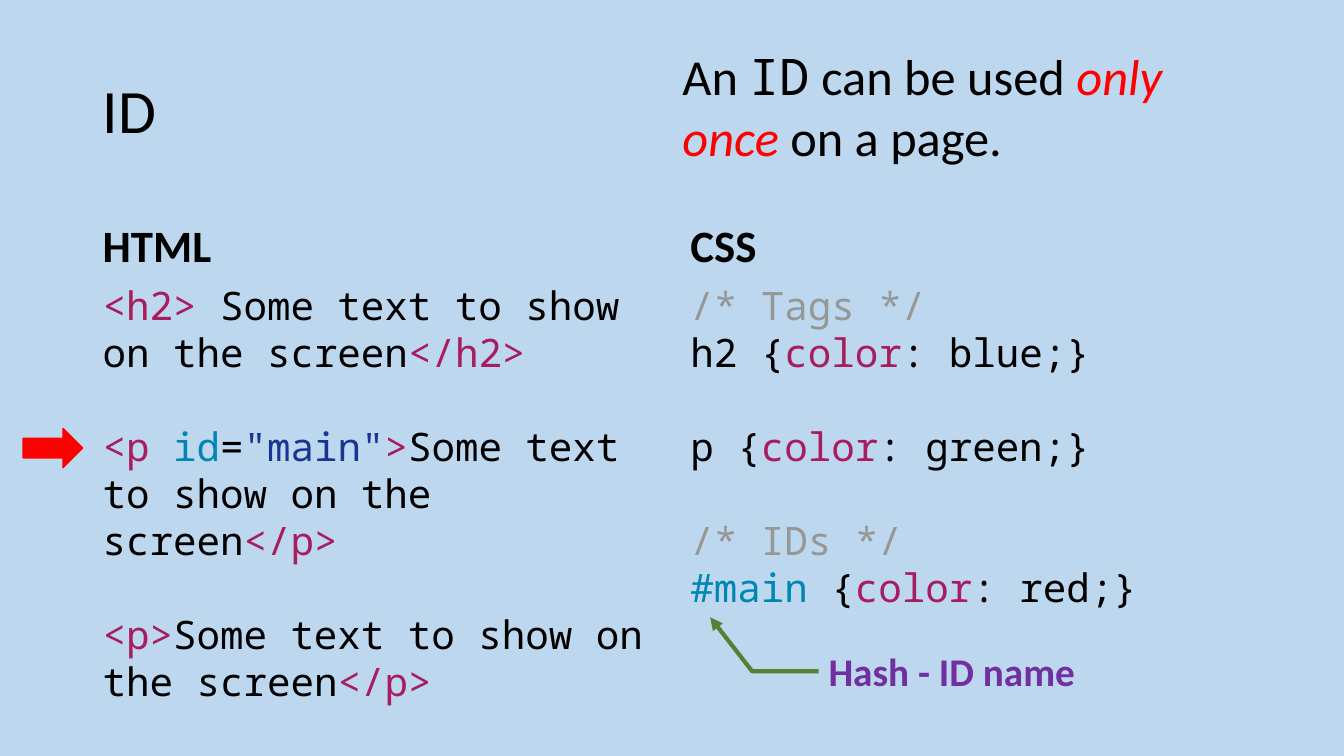
from dataclasses import dataclass
from typing import NamedTuple

from lxml import etree
from pptx import Presentation
from pptx.dml.color import RGBColor
from pptx.enum.shapes import MSO_SHAPE
from pptx.enum.text import MSO_ANCHOR, PP_ALIGN
from pptx.oxml.ns import qn
from pptx.util import Inches, Pt


@dataclass(frozen=True)
class Theme:
    background: str = "BDD7EE"
    ink: str = "000000"
    tag: str = "A71D5D"
    name: str = "0086B3"
    string: str = "183691"
    remark: str = "969896"
    alert: str = "FF0000"
    pointer: str = "548235"
    label: str = "7030A0"
    sans: str = "Calibri"
    mono: str = "Noto Sans Mono"
    title_size: float = 44
    note_size: float = 36
    heading_size: float = 32
    code_size: float = 28
    blank_line: float = 33.6


THEME = Theme()


class Span(NamedTuple):
    text: str
    color: str = THEME.ink
    font: str = THEME.sans
    bold: bool = False
    italic: bool = False


class Line(NamedTuple):
    spans: list[Span]
    gap: float = 0
    spacing: float = 1.0


class Area(NamedTuple):
    left: float
    top: float
    width: float
    height: float

    def lengths(self) -> list[int]:
        return [Inches(value) for value in self]


class Column(NamedTuple):
    left: float
    width: float
    heading: str
    code: list[Line]


def code(text: str, color: str = THEME.ink) -> Span:
    return Span(text, color, THEME.mono)


def tag(text: str) -> Span:
    return code(text, THEME.tag)


def rule(selector: Span, value: str, gap: float = 0) -> Line:
    return Line([selector, code(" {"), tag("color"), code(f": {value};}}")], gap)


def write(frame, lines: list[Line], size: float, anchor=MSO_ANCHOR.TOP) -> None:
    frame.word_wrap = True
    frame.vertical_anchor = anchor
    for index, line in enumerate(lines):
        para = frame.paragraphs[0] if index == 0 else frame.add_paragraph()
        para.alignment = PP_ALIGN.LEFT
        para.line_spacing = line.spacing
        para.space_before = Pt(line.gap)
        for span in line.spans:
            run = para.add_run()
            run.text = span.text
            font = run.font
            font.name, font.size = span.font, Pt(size)
            font.bold, font.italic = span.bold, span.italic
            font.color.rgb = RGBColor.from_string(span.color)


def add_text(page, area: Area, lines: list[Line], size: float,
             anchor=MSO_ANCHOR.TOP) -> None:
    box = page.shapes.add_textbox(*area.lengths())
    write(box.text_frame, lines, size, anchor)


def add_outlined(page, kind: MSO_SHAPE, area: Area, color: str, weight: float):
    shape = page.shapes.add_shape(kind, *area.lengths())
    shape.shadow.inherit = False
    shape.line.color.rgb = RGBColor.from_string(color)
    shape.line.width = Pt(weight)
    return shape


def add_callout(page, area: Area, bends: list[float], label: Span) -> None:
    callout = add_outlined(page, MSO_SHAPE.LINE_CALLOUT_2_NO_BORDER, area,
                           THEME.pointer, 3)
    callout.fill.background()
    for index, value in enumerate(bends):
        callout.adjustments[index] = value
    properties = callout.element.spPr
    properties.find(qn("a:xfrm")).set("flipH", "1")
    etree.SubElement(properties.find(qn("a:ln")), qn("a:tailEnd"), type="triangle")
    write(callout.text_frame, [Line([label])], THEME.code_size, MSO_ANCHOR.MIDDLE)


BLANK = THEME.blank_line
PHRASE = code("Some text to show on the screen")

COLUMNS = [
    Column(0.92, 5.64, "HTML", [
        Line([tag("<h2>"), code(" Some text to show on the screen"), tag("</h2>")]),
        Line([tag("<p "), code("id", THEME.name), code("="),
              code('"main"', THEME.string), tag(">"), PHRASE, tag("</p>")], BLANK),
        Line([tag("<p>"), PHRASE, tag("</p>")], BLANK),
    ]),
    Column(6.75, 5.67, "CSS", [
        Line([code("/* Tags */", THEME.remark)]),
        rule(code("h2"), "blue"),
        rule(code("p"), "green", BLANK),
        Line([code("/* IDs */", THEME.remark)], BLANK),
        rule(code("#main", THEME.name), "red"),
    ]),
]


def main() -> None:
    deck = Presentation()
    deck.slide_width, deck.slide_height = Inches(13.33), Inches(7.5)
    page = deck.slides.add_slide(deck.slide_layouts[5])
    page.background.fill.solid()
    page.background.fill.fore_color.rgb = RGBColor.from_string(THEME.background)

    # Title
    title = page.shapes.title
    title.left, title.top, title.width, title.height = Area(0.92, 0.4, 11.5, 1.45).lengths()
    write(title.text_frame, [Line([Span("ID")], spacing=0.9)], THEME.title_size,
          MSO_ANCHOR.MIDDLE)

    # Headed code columns
    for column in COLUMNS:
        heading = Line([Span(column.heading, bold=True)], spacing=1.2)
        add_text(page, Area(column.left, 1.84, column.width, 0.9), [heading],
                 THEME.heading_size, MSO_ANCHOR.BOTTOM)
        add_text(page, Area(column.left, 2.74, column.width, 4.03), column.code,
                 THEME.code_size)

    # Usage note
    note = Line([Span("An "), code("ID"), Span(" can be used "),
                 Span("only once", THEME.alert, italic=True), Span(" on a page.")])
    add_text(page, Area(6.67, 0.4, 5.64, 1.31), [note], THEME.note_size)

    # Callout to the hash and arrow to the paragraph with the ID
    add_callout(page, Area(8.12, 6.19, 3.47, 0.94), [0.5, 1, 0.5, 1.19, -0.07, 1.31],
                Span("Hash - ID name", THEME.label, bold=True))
    arrow = add_outlined(page, MSO_SHAPE.RIGHT_ARROW, Area(0.23, 4.25, 0.59, 0.39),
                         THEME.alert, 1)
    arrow.fill.solid()
    arrow.fill.fore_color.rgb = RGBColor.from_string(THEME.alert)

    deck.save("out.pptx")


if __name__ == "__main__":
    main()
